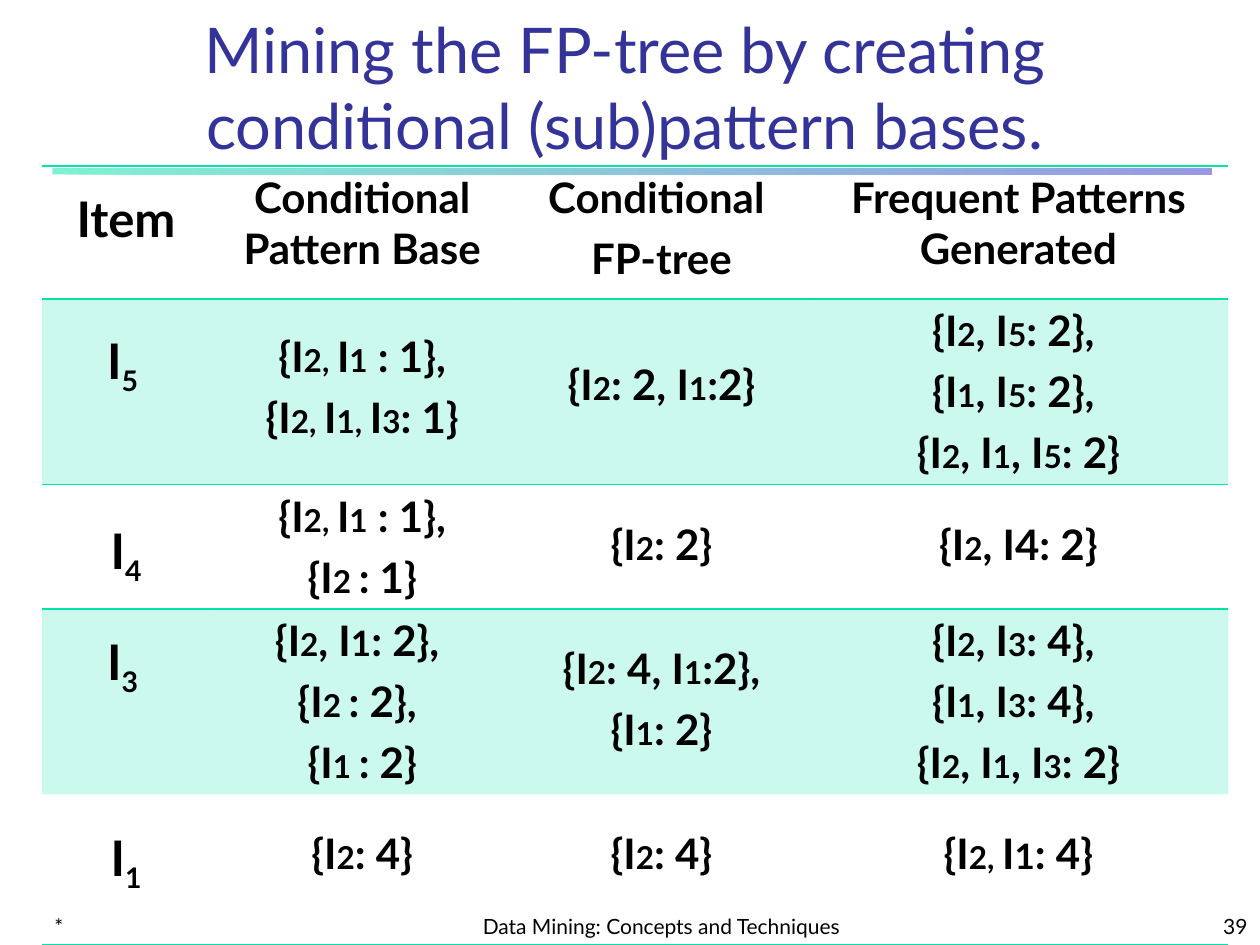
from dataclasses import dataclass

from lxml.etree import SubElement
from pptx import Presentation
from pptx.dml.color import RGBColor
from pptx.enum.shapes import MSO_SHAPE as Shape
from pptx.enum.text import MSO_ANCHOR as Anchor, MSO_AUTO_SIZE as Auto, PP_ALIGN as Align
from pptx.oxml import parse_xml
from pptx.oxml.ns import nsdecls, qn
from pptx.util import Pt

FONT, BLACK, MINT, BLUE, NAVY = "Lato", "000000", "00E4A8", "3333CC", "333399"
NO_STYLE = "{2D5ABB26-0587-4C30-8999-92F81FD0307C}"
COLS = (96, 174, 168, 240)
HIGH = (76, 106, 71, 106, 86)
LINED = {0: "TB", 1: "TB", 2: "T", 4: "B"}  # row -> ruled edges


@dataclass
class Entry:
    """Cell text: pieces between bars alternate normal and small; ^ is mid-size."""
    lines: tuple
    gap: float = 0
    size: int = 24
    sub: bool = False


def label(text: str, gap: float) -> Entry:
    return Entry((text,), gap, 28, True)


ROWS = (
    (Entry(("Item",), 9.8, 28), Entry(("Conditional Pattern Base",)),
     Entry(("Conditional ", "FP-tree")), Entry(("Frequent Patterns Generated",))),
    (label("I|5 ", 14.6),
     Entry(("{I|2, |I|1| : 1},", "{I|2, |I|1, |I|3|: 1}"), 14.5),
     Entry(("{I|2|: 2, I|1|:2}",), 30.4),
     Entry(("{I|2|, I|5|: 2}, ", "{I|1|, I|5|: 2}, ", "{I|2|, I|1|, I|5|: 2}"))),
    (label("I|4", 17),
     Entry(("{I|2, |I|1| : 1},", "{I|2 |: 1}")),
     Entry(("{I|2|: 2}",), 15.8),
     Entry(("{I|2|, I4: 2}",), 15.8)),
    (label("I|3 ", 9.8),
     Entry(("{I|2|, I|^1|: 2}, ", "{I|2 |: 2}, ", "{I|1 |: 2}")),
     Entry(("{I|2|: 4, I|1|:2},", "{I|1|: 2}"), 15.8),
     Entry(("{I|2|, I|3|: 4}, ", "{I|1|, I|3|: 4}, ", "{I|2|, I|1|, I|3|: 2}"))),
    (label("I|1", 15.8), Entry(("{I|2|: 4}",), 15.8),
     Entry(("{I|2|: 4}",), 15.8), Entry(("{I|2, |I|^1|: 4}",), 15.8)),
)


def paint(color, code: str) -> None:
    color.rgb = RGBColor.from_string(code)


def fade(node, share: int) -> None:
    for tone in node.iter(qn("a:srgbClr")):
        SubElement(tone, qn("a:alpha"), val=str(share * 1000))


def write(para, text: str, *, size: float, color: str = BLACK, bold: bool = False,
          align=Align.CENTER, before: float = 0, sub: bool = False) -> None:
    para.alignment, para.space_before = align, Pt(before)
    for i, piece in enumerate(text.split("|")):
        run = para.add_run()
        run.text = piece.lstrip("^")
        font = run.font
        font.name, font.bold, font.size = FONT, bold, Pt(size)
        paint(font.color, color)
        if i % 2 and sub:
            font._element.set("baseline", "-25000")
        elif i % 2:
            font.size = Pt(20 if piece.startswith("^") else 18)


def place(shape, left: float, top: float, width: float, height: float) -> None:
    shape.left, shape.top, shape.width, shape.height = map(Pt, (left, top, width, height))


def rule(cell, edge: str) -> None:
    cell._tc.get_or_add_tcPr().insert(0, parse_xml(
        f'<a:ln{edge} {nsdecls("a")} w="12700"><a:solidFill><a:srgbClr val="{MINT}"/>'
        f'</a:solidFill></a:ln{edge}>'))


def fill_cell(cell, entry: Entry, row: int) -> None:
    cell.margin_left = cell.margin_right = Pt(7.2)
    cell.margin_top, cell.margin_bottom = Pt(3.6 + entry.gap), Pt(3.6)
    if row % 2:
        cell.fill.solid()
        paint(cell.fill.fore_color, MINT)
        fade(cell._tc.tcPr, 20)
    else:
        cell.fill.background()
    for edge in reversed(LINED.get(row, "")):
        rule(cell, edge)
    frame = cell.text_frame
    for i, line in enumerate(entry.lines):
        para = frame.add_paragraph() if i else frame.paragraphs[0]
        write(para, line, size=entry.size, bold=True, before=6 if i else 0, sub=entry.sub)


def add_grid(slide) -> None:
    frame = slide.shapes.add_table(len(HIGH), len(COLS), Pt(24), Pt(95),
                                   Pt(sum(COLS)), Pt(sum(HIGH)))
    grid = frame.table
    grid.first_row = grid.horz_banding = False
    grid._tbl.tblPr.find(qn("a:tableStyleId")).text = NO_STYLE
    for col, width in zip(grid.columns, COLS):
        col.width = Pt(width)
    for r, entries in enumerate(ROWS):
        grid.rows[r].height = Pt(HIGH[r])
        for c, entry in enumerate(entries):
            fill_cell(grid.cell(r, c), entry, r)


def add_foot(slide, text: str, left: float, width: float, align) -> None:
    box = slide.shapes.add_textbox(Pt(left), Pt(510), Pt(width), Pt(30))
    frame = box.text_frame
    frame.word_wrap, frame.vertical_anchor = True, Anchor.BOTTOM
    write(frame.paragraphs[0], text, size=12, align=align)


def add_bar(slide) -> None:
    bar = slide.shapes.add_shape(Shape.RECTANGLE, Pt(30), Pt(96), Pt(662.4), Pt(3.6))
    bar.shadow.inherit = False
    bar.line.fill.background()
    bar.fill.gradient()
    bar.fill.gradient_angle = 0
    for stop, code, spot in zip(bar.fill.gradient_stops, (MINT, BLUE), (0, 1)):
        paint(stop.color, code)
        stop.position = spot
    fade(bar._element.spPr, 50)


def main() -> None:
    deck = Presentation()
    deck.slide_width, deck.slide_height = Pt(720), Pt(540)
    slide = deck.slides.add_slide(deck.slide_layouts[5])
    add_bar(slide)
    # Title
    title = slide.shapes.title
    place(title, 30, 6, 654, 90)
    frame = title.text_frame
    frame.auto_size, frame.vertical_anchor = Auto.NONE, Anchor.BOTTOM
    write(frame.paragraphs[0], "Mining the FP-tree by creating conditional (sub)pattern bases.",
          size=36, color=NAVY)
    # Footer
    add_foot(slide, "*", 24, 150, Align.LEFT)
    add_foot(slide, "Data Mining: Concepts and Techniques", 264, 228, Align.CENTER)
    add_foot(slide, "39", 570, 150, Align.RIGHT)
    # Pattern table
    add_grid(slide)
    deck.save("out.pptx")


if __name__ == "__main__":
    main()
